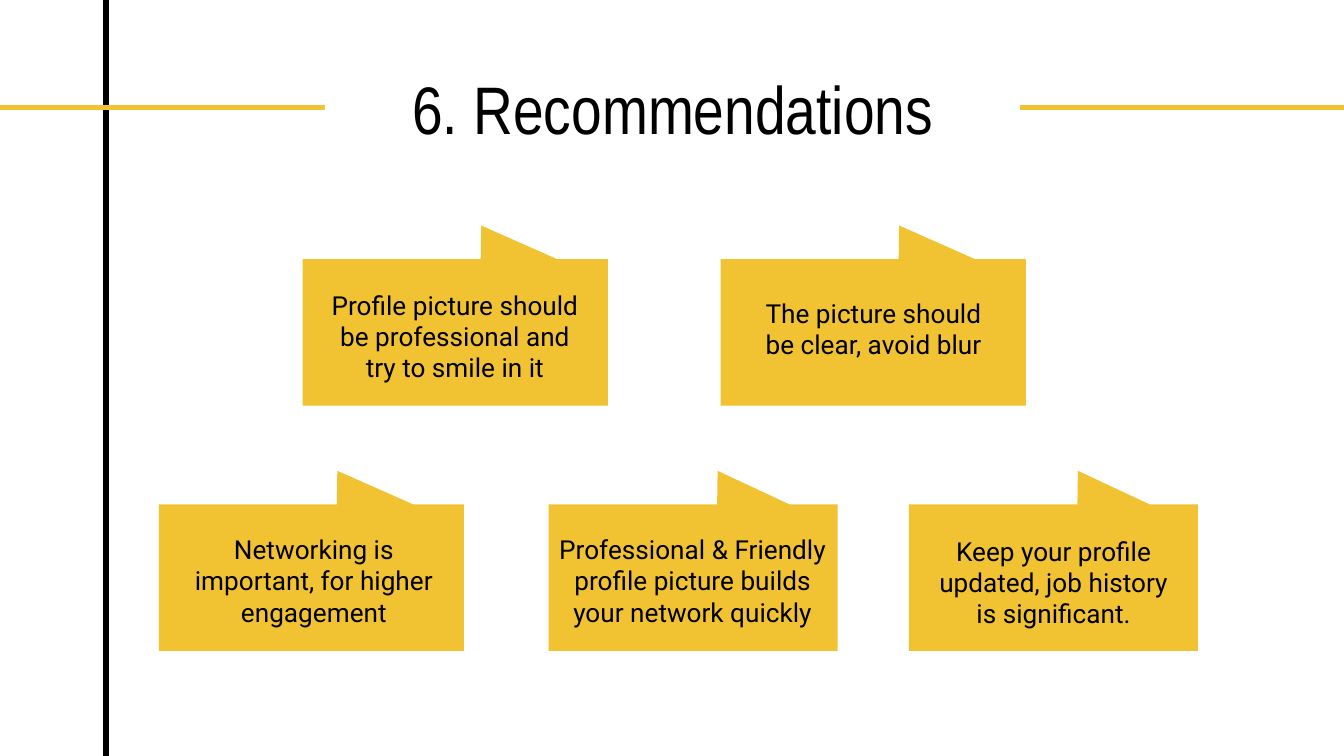
from dataclasses import dataclass

from lxml.etree import SubElement
from pptx import Presentation
from pptx.dml.color import RGBColor
from pptx.enum.shapes import MSO_CONNECTOR as CONN, MSO_SHAPE as SHAPE
from pptx.enum.text import MSO_ANCHOR as ANCHOR, MSO_AUTO_SIZE as FIT, PP_ALIGN as ALIGN
from pptx.oxml.ns import qn
from pptx.util import Pt


@dataclass(frozen=True)
class Theme:
    """Colours, fonts and type sizes."""
    ink: RGBColor = RGBColor(0x00, 0x00, 0x00)
    paper: RGBColor = RGBColor(0xFF, 0xFF, 0xFF)
    accent: RGBColor = RGBColor(0xF1, 0xC2, 0x32)
    title_font: str = "Arial Narrow"
    body_font: str = "Roboto"
    title_size: int = 36
    body_size: int = 14
    line: int = 3
    inset: float = 7.2


class Deck:
    """Holds the theme and the current slide."""

    def __init__(self, theme, width, height):
        """Start a presentation of the given size."""
        self.theme = theme
        self.prs = Presentation()
        self.prs.slide_width, self.prs.slide_height = Pt(width), Pt(height)

    def slide(self):
        """Add a title-only slide."""
        self.s = self.prs.slides.add_slide(self.prs.slide_layouts[5])

    def line(self, x1, y1, x2, y2, color):
        """Draw a straight rule."""
        c = self.s.shapes.add_connector(CONN.STRAIGHT, Pt(x1), Pt(y1), Pt(x2), Pt(y2))
        c.line.color.rgb, c.line.width = color, Pt(self.theme.line)
        SubElement(c.element.spPr, qn("a:effectLst"))

    def shape(self, kind, x, y, w, h, color, adjust=()):
        """Draw a filled shape without outline."""
        sp = self.s.shapes.add_shape(kind, Pt(x), Pt(y), Pt(w), Pt(h))
        sp.shadow.inherit = False
        sp.fill.solid()
        sp.fill.fore_color.rgb = color
        sp.line.fill.background()
        for i, value in enumerate(adjust):
            sp.adjustments[i] = value

    def set_text(self, sp, text, font, size, anchor):
        """Put centred text in a shape."""
        tf = sp.text_frame
        inset = Pt(self.theme.inset)
        frame = {"word_wrap": True, "auto_size": FIT.NONE, "vertical_anchor": anchor,
                 "margin_left": inset, "margin_right": inset,
                 "margin_top": inset, "margin_bottom": inset}
        for name, value in frame.items():
            setattr(tf, name, value)
        p = tf.paragraphs[0]
        p.alignment = ALIGN.CENTER
        r = p.add_run()
        r.text = text
        for name, value in {"name": font, "size": Pt(size)}.items():
            setattr(r.font, name, value)
        r.font.color.rgb = self.theme.ink

    def title(self, text, x, y, w, h):
        """Place the title above the shapes drawn so far."""
        sp = self.s.shapes.title
        box = {"left": x, "top": y, "width": w, "height": h}
        for name, value in box.items():
            setattr(sp, name, Pt(value))
        sp.element.getparent().append(sp.element)
        self.set_text(sp, text, self.theme.title_font, self.theme.title_size, ANCHOR.MIDDLE)

    def text(self, text, x, y, w, h):
        """Add a body text box."""
        sp = self.s.shapes.add_textbox(Pt(x), Pt(y), Pt(w), Pt(h))
        self.set_text(sp, text, self.theme.body_font, self.theme.body_size, ANCHOR.TOP)


def main():
    """Build the recommendations slide."""
    theme = Theme()
    width, height = 720, 405
    deck = Deck(theme, width, height)
    deck.slide()
    deck.line(56.8, 0, 56.8, height, theme.ink)
    deck.line(width, 57.5, 0, 57.5, theme.accent)
    deck.shape(SHAPE.RECTANGLE, 174, 6.5, 372.4, 81.4, theme.paper)
    deck.title("6. Recommendations", 194.6, 30.2, 331.6, 55.4)

    upper, lower = 138.8, 270.2
    wide, narrow = 163.5, 154.8
    tips = [
        (162.2, upper, wide, 166.3, 147.6, 154.8,
         "Profile picture should be professional and try to smile in it"),
        (386.1, upper, wide, 399.6, 151.9, 136.8,
         "The picture should be clear, avoid blur"),
        (85.1, lower, wide, 92.2, 278.6, 151.9,
         "Networking is important, for higher engagement"),
        (293.9, lower, narrow, 289.4, 278.6, 163.4,
         "Professional & Friendly profile picture builds your network quickly"),
        (486.9, lower, narrow, 493.9, 279.4, 141.1,
         "Keep your profile updated, job history is significant."),
    ]
    for x, y, w, text_x, text_y, text_w, text in tips:
        deck.shape(SHAPE.RECTANGULAR_CALLOUT, x, y, w, 78.5, theme.accent, (0.085, -0.729))
        deck.text(text, text_x, text_y, text_w, 60.5)
    deck.prs.save("out.pptx")


if __name__ == "__main__":
    main()
